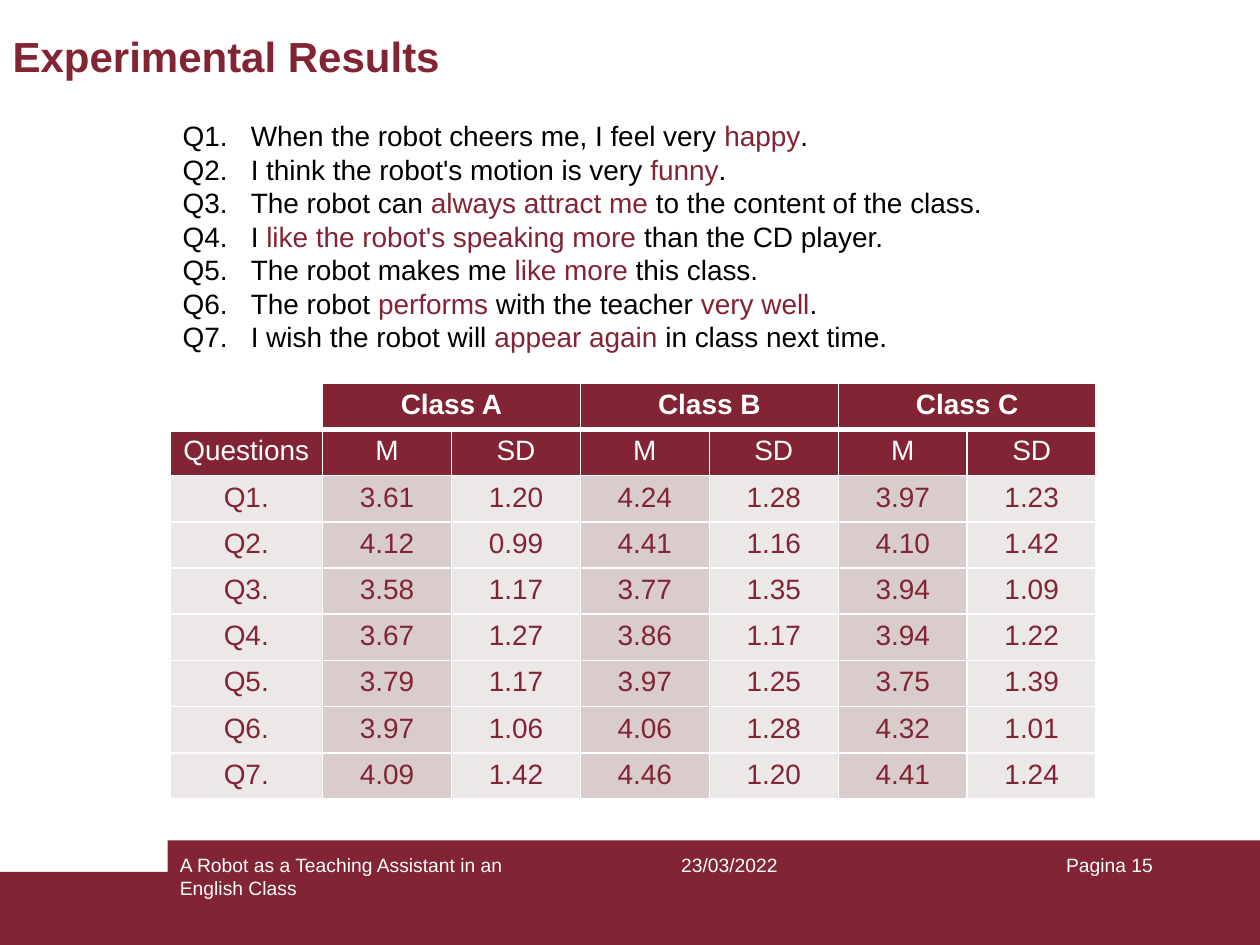
from dataclasses import dataclass

from lxml.etree import SubElement
from pptx import Presentation
from pptx.dml.color import RGBColor
from pptx.enum.shapes import MSO_SHAPE
from pptx.enum.text import MSO_ANCHOR, MSO_AUTO_SIZE, PP_ALIGN
from pptx.oxml.ns import qn
from pptx.util import Inches, Pt


@dataclass(frozen=True)
class Theme:
    font: str = "Arial"
    maroon: str = "822433"
    white: str = "FFFFFF"
    black: str = "000000"
    mean_fill: str = "D8CCCD"
    plain_fill: str = "EDE8E8"
    title_size: int = 24
    body_size: int = 16
    footer_size: int = 11
    body_line: float = 19.2


THEME = Theme()

# Each question is a list of (text, is_highlighted) parts
QUESTIONS = [
    [("When the robot cheers me, I feel very ", False), ("happy", True), (".", False)],
    [("I think the robot's motion is very ", False), ("funny", True), (".", False)],
    [("The robot can ", False), ("always attract me ", True),
     ("to the content of the class.", False)],
    [("I ", False), ("like the robot's speaking more ", True),
     ("than the CD player.", False)],
    [("The robot makes me ", False), ("like more ", True), ("this class.", False)],
    [("The robot ", False), ("performs", True), (" with the teacher ", False),
     ("very well", True), (".", False)],
    [("I wish the robot will ", False), ("appear again ", True),
     ("in class next time.", False)],
]

CLASSES = ["Class A", "Class B", "Class C"]

# Mean and standard deviation for each class in turn, one row a question
SCORES = [
    ["3.61", "1.20", "4.24", "1.28", "3.97", "1.23"],
    ["4.12", "0.99", "4.41", "1.16", "4.10", "1.42"],
    ["3.58", "1.17", "3.77", "1.35", "3.94", "1.09"],
    ["3.67", "1.27", "3.86", "1.17", "3.94", "1.22"],
    ["3.79", "1.17", "3.97", "1.25", "3.75", "1.39"],
    ["3.97", "1.06", "4.06", "1.28", "4.32", "1.01"],
    ["4.09", "1.42", "4.46", "1.20", "4.41", "1.24"],
]


def add_text(paragraph, text, size=THEME.body_size, color=THEME.black, bold=False,
             align=PP_ALIGN.LEFT):
    """Append one formatted run to a paragraph."""
    paragraph.alignment = align
    run = paragraph.add_run()
    run.text = text
    run.font.name = THEME.font
    run.font.size = Pt(size)
    run.font.bold = bold
    run.font.color.rgb = RGBColor.from_string(color)


def place(shape, left, top, width, height):
    shape.left, shape.top = Inches(left), Inches(top)
    shape.width, shape.height = Inches(width), Inches(height)


def add_band(slide, left, top, width, height):
    band = slide.shapes.add_shape(MSO_SHAPE.RECTANGLE, Inches(left), Inches(top),
                                  Inches(width), Inches(height))
    band.shadow.inherit = False
    band.fill.solid()
    band.fill.fore_color.rgb = RGBColor.from_string(THEME.maroon)
    band.line.fill.background()


def add_footer(slide, left, top, width, height):
    """Stepped maroon band with the talk's name, date and page number."""
    step_left, step_height = 1.33, 0.25
    add_band(slide, left, top + step_height, width, height - step_height)
    add_band(slide, left + step_left, top, width - step_left, height)

    entries = [
        ("A Robot as a Teaching Assistant in an English Class",
         step_left, 3.17, PP_ALIGN.LEFT),
        ("23/03/2022", 4.75, 2.08, PP_ALIGN.CENTER),
        ("Pagina 15", 7.17, 2.08, PP_ALIGN.RIGHT),
    ]
    for text, offset, entry_width, align in entries:
        box = slide.shapes.add_textbox(Inches(left + offset), Inches(top + 0.05),
                                       Inches(entry_width), Inches(0.5))
        box.text_frame.word_wrap = True
        add_text(box.text_frame.paragraphs[0], text, size=THEME.footer_size,
                 color=THEME.white, align=align)


def add_title(slide, left, top, width, height):
    title = slide.shapes.title
    place(title, left, top, width, height)
    title.text_frame.vertical_anchor = MSO_ANCHOR.MIDDLE
    title.text_frame.auto_size = MSO_AUTO_SIZE.NONE
    add_text(title.text_frame.paragraphs[0], "Experimental Results",
             size=THEME.title_size, color=THEME.maroon, bold=True)


def add_questions(slide, left, top, width, height):
    """Numbered questions in the body placeholder, with a hanging indent."""
    body = slide.placeholders[1]
    place(body, left, top, width, height)
    frame = body.text_frame
    frame.auto_size = MSO_AUTO_SIZE.NONE
    hanging = Inches(0.54)
    for number, parts in enumerate(QUESTIONS, 1):
        paragraph = frame.paragraphs[0] if number == 1 else frame.add_paragraph()
        paragraph.space_before = Pt(0)
        paragraph.line_spacing = Pt(THEME.body_line)
        add_text(paragraph, f"Q{number}.\t")
        for text, highlighted in parts:
            add_text(paragraph, text,
                     color=THEME.maroon if highlighted else THEME.black)
        properties = paragraph._p.get_or_add_pPr()
        properties.set("marL", str(hanging))
        properties.set("indent", str(-hanging))
        SubElement(properties, qn("a:buNone"))


def set_borders(cell, top=1, bottom=1):
    """White cell borders, widths in points."""
    properties = cell._tc.get_or_add_tcPr()
    for side, width in (("L", 1), ("R", 1), ("T", top), ("B", bottom)):
        line = SubElement(properties, qn(f"a:ln{side}"), w=str(Pt(width)))
        fill = SubElement(line, qn("a:solidFill"))
        SubElement(fill, qn("a:srgbClr"), val=THEME.white)


def fill_cell(cell, text, fill, color, bold=False):
    cell.fill.solid()
    cell.fill.fore_color.rgb = RGBColor.from_string(fill)
    paragraph = cell.text_frame.paragraphs[0]
    if text:
        add_text(paragraph, text, color=color, bold=bold, align=PP_ALIGN.CENTER)
    else:
        # Keep empty cells from stretching their row
        SubElement(paragraph._p, qn("a:endParaRPr"), sz=str(THEME.body_size * 100))


def add_score_table(slide, left, top, width, height):
    class_row = [""] + [text for name in CLASSES for text in (name, "")]
    label_row = ["Questions"] + ["M", "SD"] * len(CLASSES)
    score_rows = [[f"Q{number}."] + scores for number, scores in enumerate(SCORES, 1)]
    rows = [class_row, label_row] + score_rows

    table = slide.shapes.add_table(len(rows), len(label_row), Inches(left), Inches(top),
                                   Inches(width), Inches(height)).table
    table.first_row = table.horz_banding = False
    first_width = 1.21
    score_width = (width - first_width) / (len(label_row) - 1)
    for index, column in enumerate(table.columns):
        column.width = Inches(score_width if index else first_width)

    for row, texts in enumerate(rows):
        table.rows[row].height = Inches(height / len(rows))
        for column, text in enumerate(texts):
            cell = table.cell(row, column)
            set_borders(cell, top=3 if row == 1 else 1, bottom=3 if row == 0 else 1)
            if row < 2:
                fill = THEME.white if row == column == 0 else THEME.maroon
                fill_cell(cell, text, fill, THEME.white, bold=row == 0)
            else:
                fill = THEME.mean_fill if column % 2 else THEME.plain_fill
                fill_cell(cell, text, fill, THEME.maroon)

    # Each class name spans its M and SD columns
    for column in range(1, len(label_row), 2):
        table.cell(0, column).merge(table.cell(0, column + 1))


def main():
    presentation = Presentation()
    presentation.slide_width, presentation.slide_height = Inches(10), Inches(7.5)
    slide = presentation.slides.add_slide(presentation.slide_layouts[1])
    add_footer(slide, 0, 6.67, 10, 0.83)
    add_title(slide, 0, 0.17, 10, 0.55)
    add_questions(slide, 1.35, 0.89, 7.17, 1.99)
    add_score_table(slide, 1.35, 3.04, 7.35, 3.3)
    presentation.save("out.pptx")


if __name__ == "__main__":
    main()
